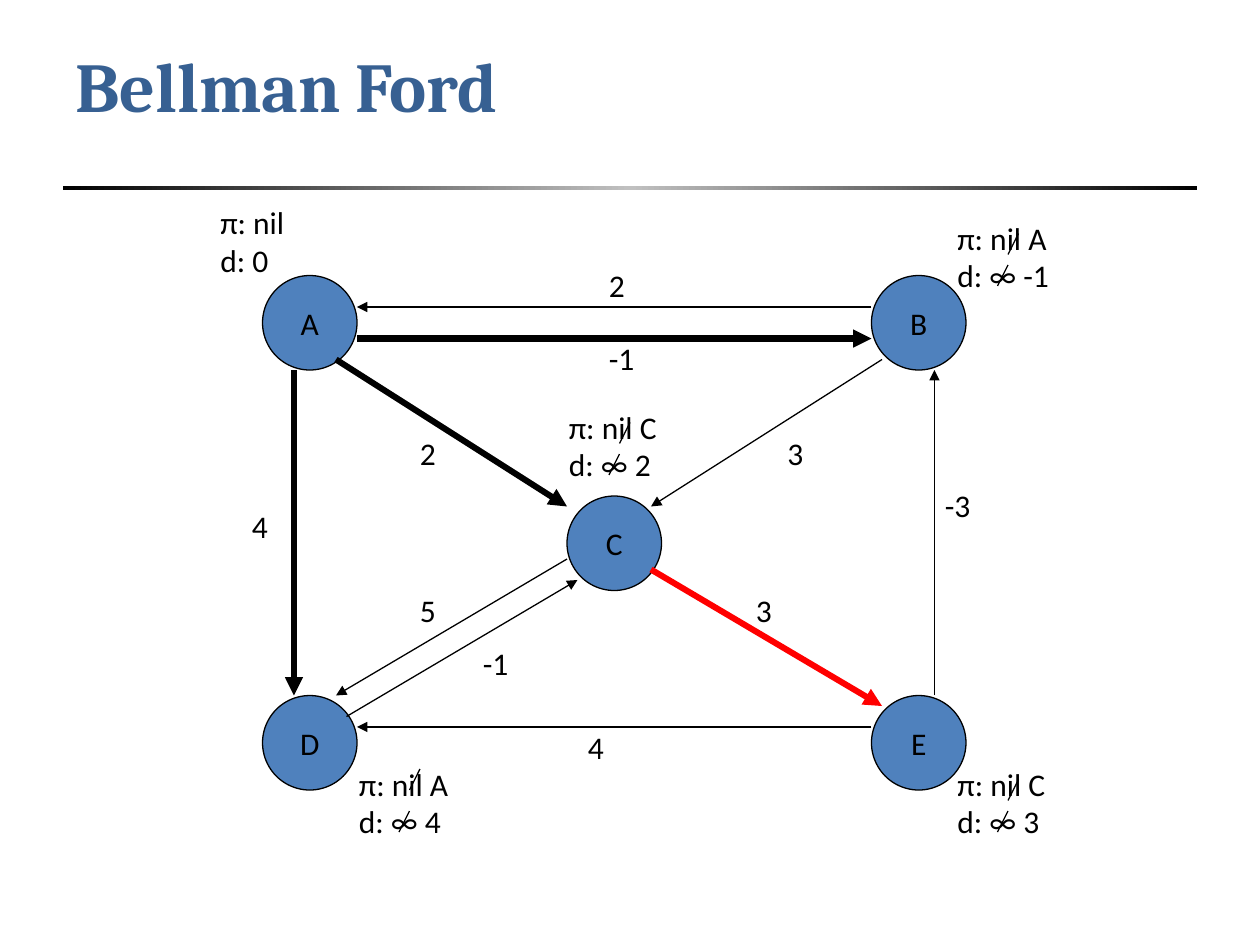
"""Builds a slide showing one step of the Bellman Ford algorithm on a five-node graph."""
from copy import deepcopy

from lxml import etree
from pptx import Presentation
from pptx.dml.color import RGBColor
from pptx.enum.shapes import MSO_CONNECTOR, MSO_SHAPE
from pptx.enum.text import MSO_ANCHOR, MSO_AUTO_SIZE, PP_ALIGN
from pptx.oxml.ns import qn
from pptx.util import Inches, Pt

STRAIGHT = MSO_CONNECTOR.STRAIGHT
OVAL, RECTANGLE = MSO_SHAPE.OVAL, MSO_SHAPE.RECTANGLE
MIDDLE, TOP = MSO_ANCHOR.MIDDLE, MSO_ANCHOR.TOP
LEFT, CENTER = PP_ALIGN.LEFT, PP_ALIGN.CENTER
GROW, FIXED = MSO_AUTO_SIZE.SHAPE_TO_FIT_TEXT, MSO_AUTO_SIZE.NONE

COLORS = {"ink": "000000", "title": "376092", "node": "4F81BD", "relaxed": "FF0000", "silver": "C0C0C0"}
BODY = {"name": "Calibri", "size": Pt(18), "bold": False}
HEADING = {"name": "Cambria", "size": Pt(40), "bold": True}
THIN, THICK = 0.75, 3.5
NODE_SIZE = 9

NODES = {"A": (25, 26), "C": (54, 47), "B": (83, 26), "E": (83, 66), "D": (25, 66)}

EDGES = [
    ((83, 29), (34, 29), "ink", THIN),
    ((34, 32), (83, 32), "ink", THICK),
    ((83, 69), (34, 69), "ink", THIN),
    ((28, 35), (28, 66), "ink", THICK),
    ((89, 66), (89, 35), "ink", THIN),
    ((32, 34), (54, 48), "ink", THICK),
    ((84, 34), (62, 48), "ink", THIN),
    ((54, 53), (32, 66), "ink", THIN),
    ((62, 54), (84, 67), "relaxed", THICK),
    ((33, 68), (55, 55), "ink", THIN),
]

WEIGHTS = [
    ("2", 56.8, 24.5), ("-1", 56.8, 31.5), ("4", 22.8, 47.5), ("-3", 88.8, 45.5), ("2", 38.8, 40.5),
    ("3", 73.8, 40.5), ("5", 38.8, 55.5), ("3", 70.8, 55.5), ("-1", 44.8, 60.5), ("4", 54.8, 68.5),
]

ESTIMATES = [
    (["π: nil", "d: 0"], 19.8, 18.5, 10, []),
    (["π: nil A", "d: ∞ -1"], 90, 20, 18, [(7, 2), (6, 5)]),
    (["π: nil C", "d: ∞ 2"], 53, 38, 16, [(7, 2), (6, 5)]),
    (["π: nil A", "d: ∞ 4"], 33, 72, 14, [(7, 1), (6, 5)]),
    (["π: nil C", "d: ∞ 3"], 90, 72, 15, [(7, 2), (6, 5)]),
]


class GraphSlide:
    """Holds the slide and its style on a grid of twelfths of an inch."""

    def __init__(self, slide):
        self.shapes = slide.shapes
        self.colors = {name: RGBColor.from_string(value) for name, value in COLORS.items()}

    def x(self, columns):
        """Turn columns into a length."""
        return Inches(columns / 12)

    def y(self, rows):
        """Turn rows into a position below the top margin."""
        return Inches(0.02 + rows / 12)

    def box(self, column, row, width, height):
        """Give left, top, width and height of a grid area."""
        return self.x(column), self.y(row), self.x(width), self.x(height)

    def style(self, target, values):
        """Set each named attribute of the target."""
        for name, value in values.items():
            setattr(target, name, value)

    def fill_text(self, shape, lines, frame, font=BODY, color="ink", align=LEFT):
        """Fill a shape with formatted paragraphs."""
        shape.text_frame.text = "\n".join(lines)
        self.style(shape.text_frame, frame)
        for paragraph in shape.text_frame.paragraphs:
            paragraph.alignment = align
            self.style(paragraph.font, font)
            paragraph.font.color.rgb = self.colors[color]

    def title(self, heading):
        """Place the slide title."""
        holder = self.shapes.title
        self.style(holder, dict(zip(("left", "top", "width", "height"), self.box(6, 3.4, 108, 8.9))))
        frame = {"vertical_anchor": MIDDLE, "word_wrap": True, "auto_size": FIXED}
        self.fill_text(holder, [heading], frame, HEADING, "title")

    def divider(self):
        """Draw the gradient rule under the title."""
        rule = self.shapes.add_shape(RECTANGLE, *self.box(6, 17.5, 108, 0.36))
        rule.shadow.inherit = False
        rule.line.fill.background()
        rule.fill.gradient()
        rule.fill.gradient_angle = 0
        stops = next(rule.element.iter(qn("a:gsLst")))
        stops.append(deepcopy(stops[0]))
        for stop, position, color in zip(rule.fill.gradient_stops, (0, 0.5, 1), ("ink", "silver", "ink")):
            stop.position = position
            stop.color.rgb = self.colors[color]

    def node(self, letter, column, row):
        """Draw a lettered graph node."""
        circle = self.shapes.add_shape(OVAL, *self.box(column, row, NODE_SIZE, NODE_SIZE))
        circle.shadow.inherit = False
        circle.fill.solid()
        circle.fill.fore_color.rgb = self.colors["node"]
        circle.line.color.rgb = self.colors["ink"]
        circle.line.width = Pt(THIN)
        self.fill_text(circle, [letter], {"vertical_anchor": MIDDLE, "word_wrap": False}, align=CENTER)

    def line(self, start, end, color="ink", weight=THIN, arrow=False):
        """Draw a straight line, with an arrowhead at its end if wanted."""
        ends = self.x(start[0]), self.y(start[1]), self.x(end[0]), self.y(end[1])
        stroke = self.shapes.add_connector(STRAIGHT, *ends)
        stroke.line.color.rgb = self.colors[color]
        stroke.line.width = Pt(weight)
        properties = stroke.element.spPr
        if arrow:
            etree.SubElement(properties.find(qn("a:ln")), qn("a:tailEnd"), type="triangle")
        etree.SubElement(properties, qn("a:effectLst"))

    def label(self, lines, column, row, width, height, wrap):
        """Add a plain text box."""
        caption = self.shapes.add_textbox(*self.box(column, row, width, height))
        self.fill_text(caption, lines, {"vertical_anchor": TOP, "word_wrap": wrap, "auto_size": GROW})

    def weight(self, value, column, row):
        """Label an edge with its weight."""
        self.label([value], column, row, 3 + len(value), 4.85, False)

    def estimate(self, lines, column, row, width, strikes):
        """Show a predecessor and distance, striking out the old values."""
        self.label(lines, column, row, width, 8.4, True)
        for right, down in strikes:
            start = column + right, row + down
            self.line(start, (start[0] - 1, start[1] + 2))


def main():
    """Build and save the slide."""
    deck = Presentation()
    deck.slide_width, deck.slide_height = Inches(10), Inches(7.5)
    graph = GraphSlide(deck.slides.add_slide(deck.slide_layouts[5]))
    graph.divider()
    graph.title("Bellman Ford")
    for letter, place in NODES.items():
        graph.node(letter, *place)
    for edge in EDGES:
        graph.line(*edge, arrow=True)
    for weight in WEIGHTS:
        graph.weight(*weight)
    for estimate in ESTIMATES:
        graph.estimate(*estimate)
    deck.save("out.pptx")


if __name__ == "__main__":
    main()
